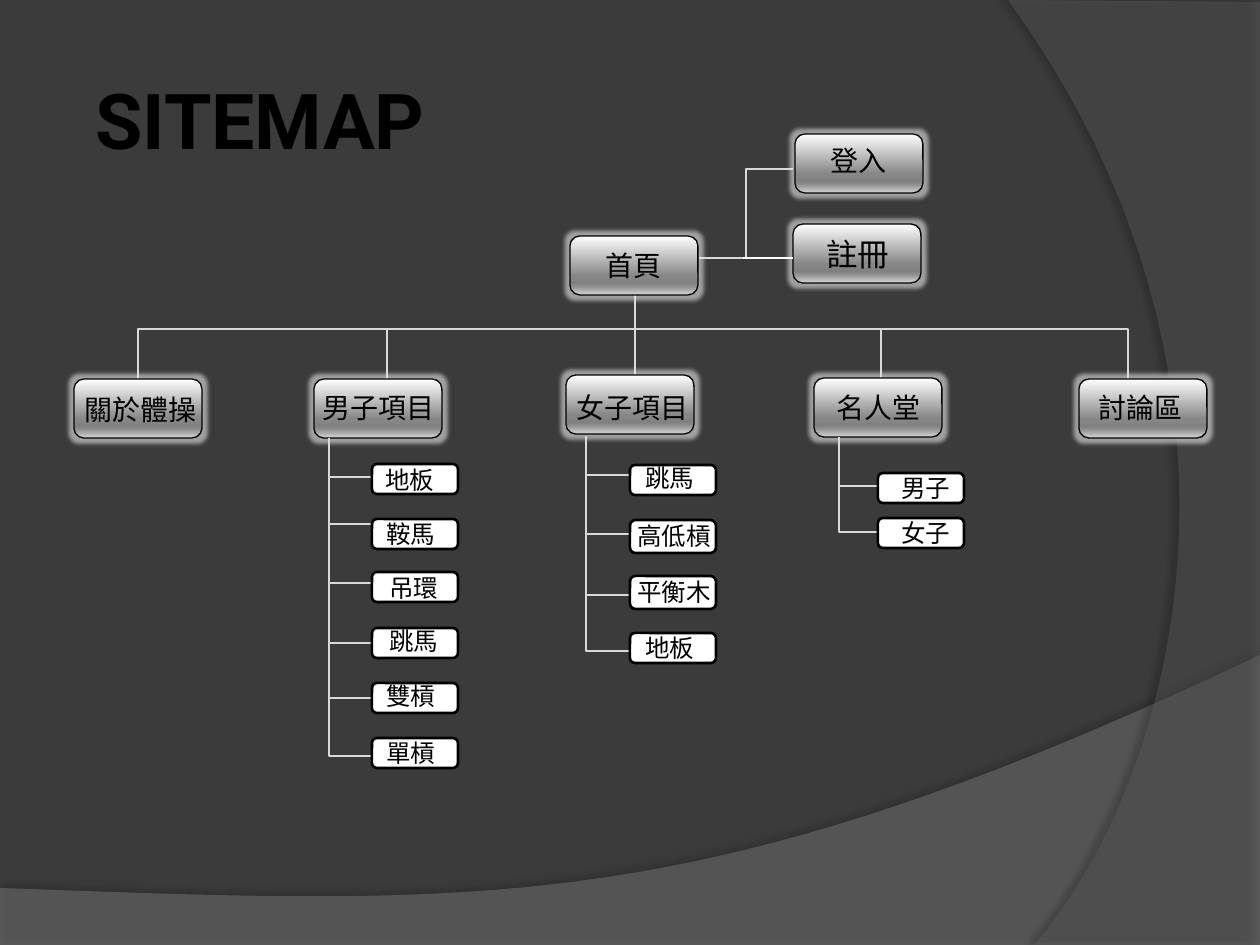
from lxml import etree
from pptx import Presentation, util as u
from pptx.dml.color import RGBColor
from pptx.enum import shapes, text
from pptx.oxml.ns import qn

SCALE = u.Inches(1) / 126
COLORS = {"back": "3B3B3B", "wave": "7F7F7F", "arc": "5E5E5E", "ink": "000000",
          "line": "D9D9D9", "white": "FFFFFF", "glow": "E6E6E6"}
SHEEN = [(0, "FEFEFE"), (68, "878787"), (81, "818181"), (86, "909090"), (100, "D3D3D3")]
FONT, TITLE_FONT = "Noto Sans CJK SC", "Roboto"
PAGE_SIZE, LEAF_WIDTH = (128, 59), 86
HOME, LOGIN, REGISTER = (570, 236), (795, 134), (793, 224)
RAIL = 329
PAGES = [
    (74, 379, 138, "關於體操", -2, 7),
    (314, 379, 387, "男子項目", -4, 5),
    (566, 375, 635, "女子項目", -2, 9),
    (814, 378, 881, "名人堂", 10, 6),
    (1079, 379, 1128, "討論區", 7, 5),
]
BRANCHES = [
    (329, 438, 372, [
        (477, 464, 30, "地板", 1, -5), (524, 519, 30, "鞍馬", 2, -6),
        (583, 572, 30, "吊環", 5, -5), (643, 628, 30, "跳馬", 5, -8),
        (698, 683, 30, "雙槓", 2, -8), (756, 738, 30, "單槓", 2, -6)]),
    (586, 436, 630, [
        (475, 465, 30, "跳馬", 3, -8), (534, 520, 33, "高低槓", -5, -5),
        (595, 576, 33, "平衡木", -5, -5), (651, 633, 30, "地板", 3, -6)]),
    (839, 437, 878, [
        (486, 473, 30, "男子", 11, -6), (532, 518, 30, "女子", 11, -6)]),
]


def px(value):
    """Turn pixels into EMU."""
    return u.Emu(round(value * SCALE))


def add_color(parent, color, alpha=100):
    """Append a colour with an opacity in percent."""
    node = etree.SubElement(parent, qn("a:srgbClr"), val=color)
    if alpha < 100:
        etree.SubElement(node, qn("a:alpha"), val=str(alpha * 1000))


def add_effect(shape, name, color, alpha, **settings):
    """Give a shape one glow or shadow."""
    shape.shadow.inherit = False
    effects = shape._element.spPr.find(qn("a:effectLst"))
    add_color(etree.SubElement(effects, qn("a:" + name), **settings), color, alpha)


def add_label(slide, left, top, wording, size, font=FONT, width=None, height=None, bold=False):
    """Place a text box sized for its wording."""
    glyph = size * 1.75
    box = slide.shapes.add_textbox(px(left), px(top), px(width or len(wording) * glyph + 36),
                                   px(height or glyph * 1.2 + 13))
    frame = box.text_frame
    frame.word_wrap = True
    run = frame.paragraphs[0].add_run()
    run.text = wording
    run.font.size, run.font.name, run.font.bold = u.Pt(size), font, bold
    run.font.color.rgb = RGBColor.from_string(COLORS["ink"])
    etree.SubElement(run._r.get_or_add_rPr(), qn("a:ea"), typeface=font)
    return frame


def add_line(slide, start, end, bend=None, color="line"):
    """Draw a straight line, or an elbow that turns at a share of its width."""
    kind = shapes.MSO_CONNECTOR.STRAIGHT if bend is None else shapes.MSO_CONNECTOR.ELBOW
    line = slide.shapes.add_connector(kind, *map(px, start + end))
    line.line.color.rgb = RGBColor.from_string(COLORS[color])
    line.line.width = u.Pt(0.75)
    properties = line._element.spPr
    etree.SubElement(properties, qn("a:effectLst"))
    if bend is not None:
        guides = properties.find(qn("a:prstGeom")).find(qn("a:avLst"))
        etree.SubElement(guides, qn("a:gd"), name="adj1", fmla=f"val {round(bend * 100000)}")


def add_box(slide, kind, left, top, width, height, weight):
    """Draw a black-edged rounded box."""
    box = slide.shapes.add_shape(kind, px(left), px(top), px(width), px(height))
    box.shadow.inherit = False
    box.line.color.rgb = RGBColor.from_string(COLORS["ink"])
    box.line.width = u.Pt(weight)
    return box


def add_page(slide, left, top, wording, dx, dy, size=16):
    """Draw a glossy page box with its label."""
    box = add_box(slide, shapes.MSO_SHAPE.ROUNDED_RECTANGLE, left, top, *PAGE_SIZE, 0.75)
    box.fill.gradient()
    box.fill.gradient_angle = 270
    stops = box._element.spPr.find(qn("a:gradFill")).find(qn("a:gsLst"))
    for stop in list(stops):
        stops.remove(stop)
    for position, color in SHEEN:
        add_color(etree.SubElement(stops, qn("a:gs"), pos=str(position * 1000)), color)
    add_effect(box, "glow", COLORS["glow"], 60, rad=str(u.Pt(5)))
    add_label(slide, left + dx, top + dy, wording, size)


def add_branch(slide, trunk, top, left, leaves):
    """Hang a column of leaf boxes from a trunk."""
    for joint, box_top, height, wording, dx, dy in leaves:
        add_line(slide, (left, joint), (trunk, top), 1)
        top = joint
        box = add_box(slide, shapes.MSO_SHAPE.FLOWCHART_ALTERNATE_PROCESS,
                      left, box_top, LEAF_WIDTH, height, 1.5)
        box.fill.solid()
        box.fill.fore_color.rgb = RGBColor.from_string(COLORS["white"])
        add_label(slide, left + dx, box_top + dy, wording, 14)


def add_home(slide, left, top):
    """Draw the home page, its member pages and the links to the main pages."""
    middle, side = left + 65, left + 129
    add_line(slide, (middle, top + PAGE_SIZE[1]), (middle, PAGES[2][1]))
    for start, index in ((middle, 1), (middle, 3), (PAGES[1][2], 0), (PAGES[3][2], 4)):
        add_line(slide, (start, RAIL), (PAGES[index][2], PAGES[index][1]), 1)
    add_line(slide, (side, 258), (REGISTER[0], 169), 0.5)
    add_page(slide, left, top, "首頁", 23, 6)
    add_page(slide, *LOGIN, "登入", 23, 3)
    add_page(slide, *REGISTER, "註冊", 21, 5, 18)
    add_line(slide, (743, 258), (REGISTER[0], 258), color="white")


def curve(start, first, second, end, steps=40):
    """List the points along a cubic curve."""
    points = []
    for step in range(steps + 1):
        t = step / steps
        weights = ((1 - t) ** 3, 3 * t * (1 - t) ** 2, 3 * t * t * (1 - t), t ** 3)
        points.append(tuple(sum(weight * point[axis] for weight, point in
                                zip(weights, (start, first, second, end))) for axis in (0, 1)))
    return points


def add_swoosh(slide, points, color, alpha, shade, distance, direction):
    """Draw a translucent curved area with a shadow."""
    builder = slide.shapes.build_freeform(round(points[0][0] * 100), round(points[0][1] * 100),
                                          scale=SCALE / 100)
    builder.add_line_segments([(round(x * 100), round(y * 100)) for x, y in points[1:]])
    area = builder.convert_to_shape()
    area.fill.solid()
    area.fill.fore_color.rgb = RGBColor.from_string(COLORS[color])
    tint = area._element.spPr.find(qn("a:solidFill"))[0]
    etree.SubElement(tint, qn("a:alpha"), val=str(alpha * 1000))
    area.line.fill.background()
    add_effect(area, "outerShdw", COLORS["ink"], shade, blurRad=str(u.Pt(4)),
               dist=str(u.Pt(distance)), dir=str(direction * 60000))


def add_background(slide, width, height):
    """Fill the slide and draw its two curved areas."""
    slide.background.fill.solid()
    slide.background.fill.fore_color.rgb = RGBColor.from_string(COLORS["back"])
    wave = curve((width, 655), (704, 919), (493, 906), (0, 888))
    add_swoosh(slide, [(0, height), (width, height)] + wave, "wave", 45, 35, 3.5, 270)
    arc = curve((1034, height), (1178, 780), (1283, 378), (1008, 0))
    add_swoosh(slide, [(width, 2), (width, height)] + arc, "arc", 40, 45, 4, 180)


def add_title(slide, left, top, width, height):
    """Place the slide title."""
    frame = add_label(slide, left, top, "SITEMAP", 44, TITLE_FONT, width, height, True)
    frame.vertical_anchor = text.MSO_ANCHOR.MIDDLE
    frame.paragraphs[0].alignment = text.PP_ALIGN.JUSTIFY


def build():
    """Build and save the sitemap slide."""
    presentation = Presentation()
    presentation.slide_width, presentation.slide_height = px(1260), px(945)
    slide = presentation.slides.add_slide(presentation.slide_layouts[6])
    add_background(slide, 1260, 945)
    add_home(slide, *HOME)
    for left, top, _, wording, dx, dy in PAGES:
        add_page(slide, left, top, wording, dx, dy)
    for branch in BRANCHES:
        add_branch(slide, *branch)
    add_title(slide, 83, 44, 372, 149)
    presentation.save("out.pptx")


build()
